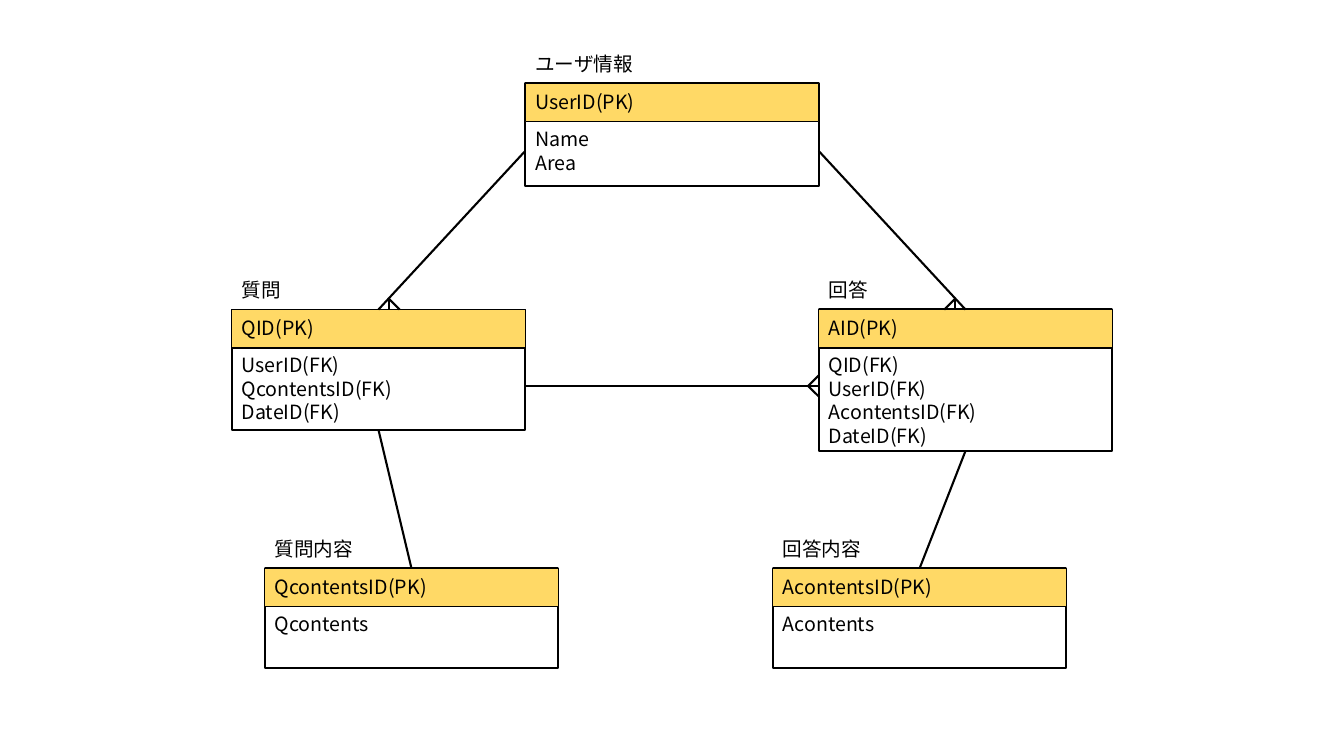
from collections import namedtuple

from lxml import etree
from pptx import Presentation, util as u
from pptx.dml.color import RGBColor
from pptx.enum import shapes, text
from pptx.oxml.ns import qn

Entity = namedtuple("Entity", "body header attributes")


def colour(value):
    return RGBColor.from_string(value)


class Diagram:
    """Entity diagram on a grid of 100 columns by 100 rows."""

    FONT, SIZE = "Noto Sans CJK JP", 14
    INK, PAPER, KEY = "000000", "FFFFFF", "FFD966"
    WIDTH, HEADER, LABEL = 21.84, 5.07, 4.53
    LINE, PADDING = 3.14, 1.33

    def __init__(self, deck):
        self.col = deck.slide_width / 100
        self.row = deck.slide_height / 100
        self.slide = deck.slides.add_slide(deck.slide_layouts[6])

    def place(self, left, top, width, height):
        return (u.Emu(round(left * self.col)), u.Emu(round(top * self.row)),
                u.Emu(round(width * self.col)), u.Emu(round(height * self.row)))

    def box(self, group, left, top, height, fill, weight):
        box = group.shapes.add_shape(shapes.MSO_SHAPE.RECTANGLE,
                                     *self.place(left, top, self.WIDTH, height))
        box.shadow.inherit = False
        box.fill.solid()
        box.fill.fore_color.rgb = colour(fill)
        box.line.color.rgb = colour(self.INK)
        box.line.width = u.Pt(weight)
        return box

    def label(self, group, left, top, height, lines):
        label = group.shapes.add_textbox(*self.place(left, top, self.WIDTH, height))
        frame = label.text_frame
        frame.word_wrap = True
        frame.auto_size = text.MSO_AUTO_SIZE.SHAPE_TO_FIT_TEXT
        frame.text = "\n".join(lines)
        for paragraph in frame.paragraphs:
            font = paragraph.font
            font.size = u.Pt(self.SIZE)
            font.color.rgb = colour(self.INK)
            font.name = self.FONT
            # East Asian typeface for the Japanese names
            defaults = paragraph._p.pPr.find(qn("a:defRPr"))
            etree.SubElement(defaults, qn("a:ea")).set("typeface", self.FONT)
        return label

    def entity(self, left, top, height, name, key, attributes):
        group = self.slide.shapes.add_group_shape()
        body = self.box(group, left, top, height, self.PAPER, 1.5)
        header = self.box(group, left, top, self.HEADER, self.KEY, 1)
        self.label(group, left, top - 4.87, self.LABEL, [name])
        self.label(group, left, top + 0.2, self.LABEL, [key])
        rows = max(2, len(attributes))
        fields = self.label(group, left, top + self.HEADER + 0.05,
                            rows * self.LINE + self.PADDING, attributes)
        return Entity(body, header, fields)

    def line(self, start=(0, 0), end=(0, 0)):
        line = self.slide.shapes.add_connector(
            shapes.MSO_CONNECTOR.STRAIGHT,
            *self.place(*start, *end))
        line.line.color.rgb = colour(self.INK)
        line.line.width = u.Pt(1.5)
        etree.SubElement(line._element.spPr, qn("a:effectLst"))
        return line

    def join(self, source, source_side, target, target_side):
        line = self.line()
        line.begin_connect(source, source_side)
        line.end_connect(target, target_side)

    def crow_foot(self, tip, toes):
        for toe in toes:
            self.line(tip, toe)


def main():
    deck = Presentation()
    deck.slide_width, deck.slide_height = u.Inches(13.33), u.Inches(7.5)
    diagram = Diagram(deck)

    # Columns and rows of the entities
    width = diagram.WIDTH
    user_left = (100 - width) / 2
    question_left, answer_left = user_left - width, user_left + width
    user_top, middle_top, contents_top = 11.05, 40.95, 75.2

    # Entities
    answer = diagram.entity(
        answer_left, middle_top, 18.7, "回答", "AID(PK)",
        ["QID(FK)", "UserID(FK)", "AcontentsID(FK)", "DateID(FK)"])
    user = diagram.entity(
        user_left, user_top, 13.6, "ユーザ情報", "UserID(PK)", ["Name", "Area"])
    question_contents = diagram.entity(
        19.7, contents_top, 13.2, "質問内容", "QcontentsID(PK)", ["Qcontents"])
    question = diagram.entity(
        question_left, middle_top, 15.9, "質問", "QID(PK)",
        ["UserID(FK)", "QcontentsID(FK)", "DateID(FK)"])
    answer_contents = diagram.entity(
        57.5, contents_top, 13.2, "回答内容", "AcontentsID(PK)", ["Acontents"])

    # Relations
    top, left, bottom, right = range(4)
    diagram.join(user.attributes, right, answer.header, top)
    diagram.join(user.attributes, left, question.header, top)
    diagram.join(question.body, bottom, question_contents.header, top)
    diagram.join(answer.body, bottom, answer_contents.header, top)
    link_row = 51.05
    diagram.line((answer_left, link_row), (user_left, link_row))

    # Crow's feet at the "many" ends
    across, down = 0.79, 1.4
    diagram.crow_foot((answer_left - across, link_row),
                      [(answer_left, link_row + side * down) for side in (1, -1)])
    for entity_left, side in ((question_left, 1), (answer_left, -1)):
        tip = entity_left + width / 2 + side * across
        diagram.crow_foot((tip, middle_top - down),
                          [(tip + side * across, middle_top), (tip, middle_top)])

    deck.save("out.pptx")


if __name__ == "__main__":
    main()
